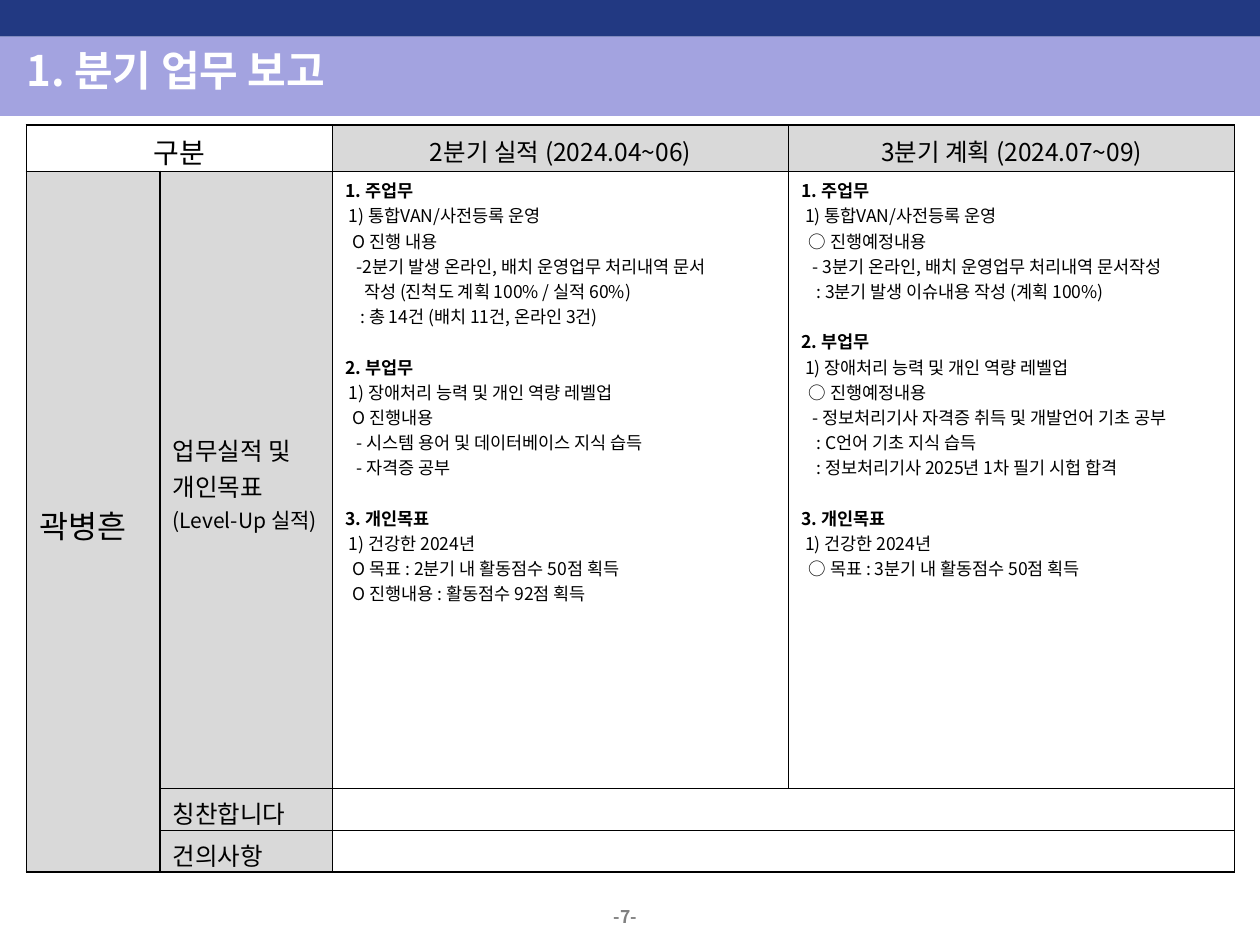
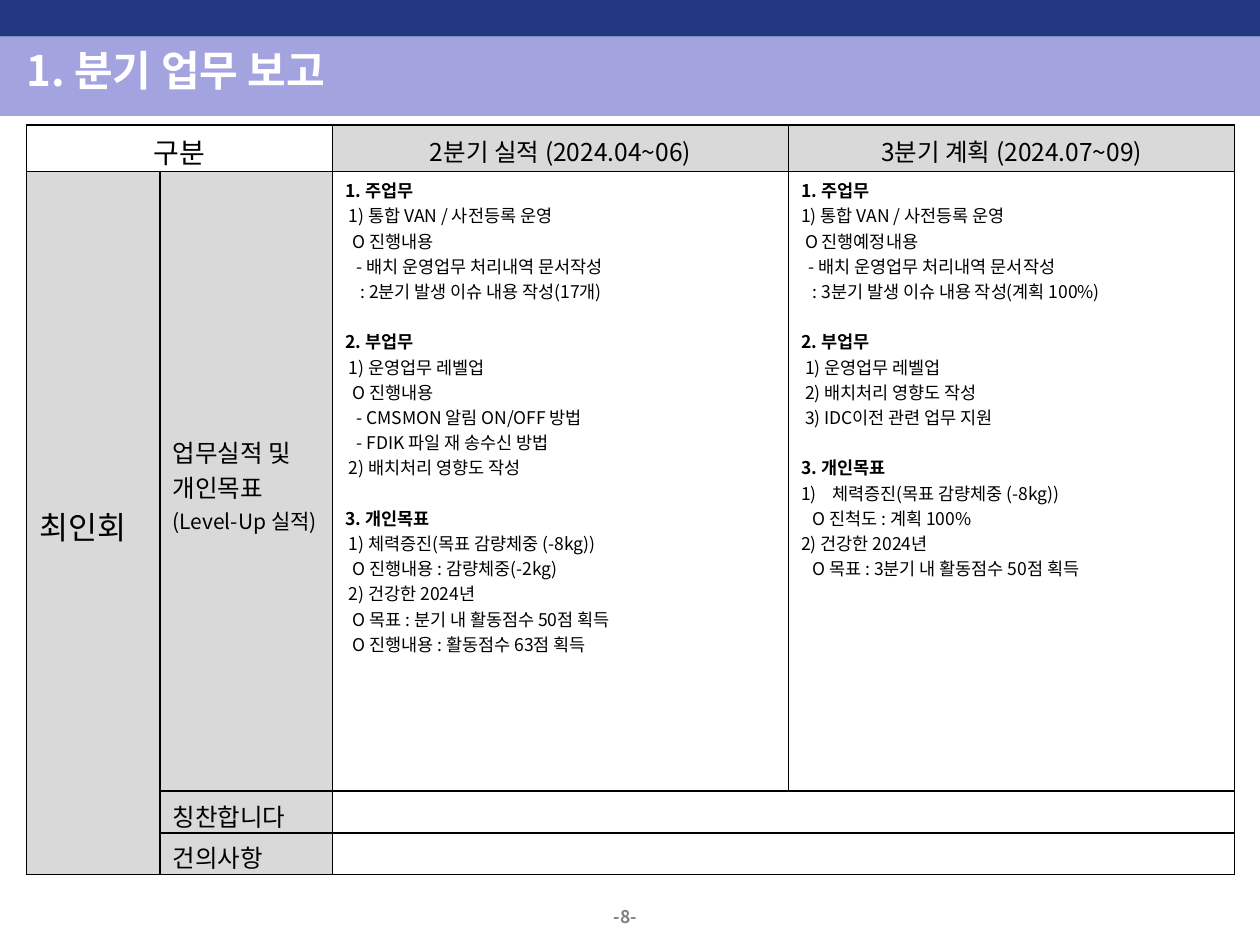
from dataclasses import dataclass
from itertools import product

from pptx import Presentation
from pptx.dml.color import RGBColor
from pptx.enum.shapes import MSO_SHAPE
from pptx.enum.text import MSO_ANCHOR, MSO_AUTO_SIZE, PP_ALIGN
from pptx.oxml.ns import qn
from pptx.util import Inches, Length, Pt
from lxml.etree import SubElement


@dataclass(frozen=True)
class Theme:
    font: str = "Noto Sans CJK KR"
    navy: str = "223982"
    lilac: str = "A3A3E0"
    white: str = "FFFFFF"
    black: str = "000000"
    pale: str = "D9D9D9"
    gray: str = "808080"
    title: int = 24
    name: int = 18
    corner: int = 16
    label: int = 14
    note: int = 12
    body: int = 10


@dataclass(frozen=True)
class Band:
    top: Length
    height: Length
    color: str


@dataclass(frozen=True)
class Line:
    depth: int
    text: str
    listed: bool = False


Part = tuple[Line, ...]


@dataclass(frozen=True)
class Report:
    page: int
    name: str
    tall: Length
    done: tuple[Part, ...]
    plan: tuple[Part, ...]


THEME = Theme()
WIDTH = Inches(10)
LEFT = Inches(0.21)
BANDS = (
    Band(Inches(0), Inches(0.29), THEME.navy),
    Band(Inches(0.29), Inches(0.63), THEME.lilac),
)
COLS = (Inches(1.06), Inches(1.37), Inches(3.62), Inches(3.54))
HEAD_ROW, LABEL_ROW = Inches(0.37), Inches(0.33)
STEP = Inches(0.03)
PART_GAP = Pt(14.4)
HEADS = ("주업무", "부업무", "개인목표")

REPORTS = (
    Report(
        7, "곽병흔", Inches(4.9),
        done=(
            (
                Line(1, "1) 통합VAN/사전등록 운영"),
                Line(2, "O 진행 내용"),
                Line(3, "-2분기 발생 온라인, 배치 운영업무 처리내역 문서"),
                Line(5, "작성 (진척도 계획 100% / 실적 60%)"),
                Line(4, ": 총 14건 (배치 11건, 온라인 3건)"),
            ),
            (
                Line(1, "1) 장애처리 능력 및 개인 역량 레벨업"),
                Line(2, "O 진행내용"),
                Line(3, "- 시스템 용어 및 데이터베이스 지식 습득"),
                Line(3, "- 자격증 공부"),
            ),
            (
                Line(1, "1) 건강한 2024년"),
                Line(2, "O 목표 : 2분기 내 활동점수 50점 획득"),
                Line(2, "O 진행내용 : 활동점수 92점 획득"),
            ),
        ),
        plan=(
            (
                Line(1, "1) 통합VAN/사전등록 운영"),
                Line(2, "○ 진행예정내용"),
                Line(3, "- 3분기 온라인, 배치 운영업무 처리내역 문서작성"),
                Line(4, ": 3분기 발생 이슈내용 작성 (계획 100%)"),
            ),
            (
                Line(1, "1) 장애처리 능력 및 개인 역량 레벨업"),
                Line(2, "○ 진행예정내용"),
                Line(3, "- 정보처리기사 자격증 취득 및 개발언어 기초 공부"),
                Line(4, ": C언어 기초 지식 습득"),
                Line(4, ": 정보처리기사 2025년 1차 필기 시헙 합격"),
            ),
            (
                Line(1, "1) 건강한 2024년"),
                Line(2, "○ 목표 : 3분기 내 활동점수 50점 획득"),
            ),
        ),
    ),
    Report(
        8, "최인회", Inches(4.92),
        done=(
            (
                Line(1, "1) 통합 VAN / 사전등록 운영"),
                Line(2, "O 진행내용"),
                Line(3, "- 배치 운영업무 처리내역 문서작성"),
                Line(4, ": 2분기 발생 이슈 내용 작성(17개)"),
            ),
            (
                Line(1, "1) 운영업무 레벨업"),
                Line(2, "O 진행내용"),
                Line(3, "- CMSMON 알림 ON/OFF 방법"),
                Line(3, "- FDIK 파일 재 송수신 방법"),
                Line(1, "2) 배치처리 영향도 작성"),
            ),
            (
                Line(1, "1) 체력증진(목표 감량체중 (-8kg))"),
                Line(2, "O 진행내용 : 감량체중(-2kg)"),
                Line(1, "2) 건강한 2024년"),
                Line(2, "O 목표 : 분기 내 활동점수 50점 획득"),
                Line(2, "O 진행내용 : 활동점수 63점 획득"),
            ),
        ),
        plan=(
            (
                Line(0, "1) 통합 VAN / 사전등록 운영"),
                Line(1, "O 진행예정내용"),
                Line(2, "- 배치 운영업무 처리내역 문서작성"),
                Line(3, ": 3분기 발생 이슈 내용 작성(계획 100%)"),
            ),
            (
                Line(1, "1) 운영업무 레벨업"),
                Line(1, "2) 배치처리 영향도 작성"),
                Line(1, "3) IDC이전 관련 업무 지원"),
            ),
            (
                Line(0, "체력증진(목표 감량체중 (-8kg))", listed=True),
                Line(3, "O 진척도 : 계획 100%"),
                Line(0, "2) 건강한 2024년"),
                Line(3, "O 목표 : 3분기 내 활동점수 50점 획득"),
            ),
        ),
    ),
)


def add_run(para, text: str, size: int, color: str = THEME.black, bold: bool = False) -> None:
    run = para.add_run()
    run.text = text
    font = run.font
    font.name, font.size, font.bold = THEME.font, Pt(size), bold
    font.color.rgb = RGBColor.from_string(color)
    SubElement(run._r.get_or_add_rPr(), qn("a:ea"), typeface=THEME.font)


def next_para(frame):
    """Return the empty first paragraph, or a new one after filled text."""
    first = frame.paragraphs[0]
    return frame.add_paragraph() if first.runs else first


def indent(para, line: Line) -> None:
    props = para._p.get_or_add_pPr()
    if line.listed:
        props.set("marL", str(Inches(0.25)))
        props.set("indent", str(Inches(-0.25)))
        SubElement(props, qn("a:buFont"), typeface=THEME.font)
        SubElement(props, qn("a:buAutoNum"), type="arabicParenR")
    else:
        props.set("marL", str(STEP * line.depth))


def write_parts(cell, parts: tuple[Part, ...]) -> None:
    cell.vertical_anchor = MSO_ANCHOR.TOP
    for rank, (head, lines) in enumerate(zip(HEADS, parts), 1):
        para = next_para(cell.text_frame)
        if rank > 1:
            para.space_before = PART_GAP
        add_run(para, f"{rank}. {head}", THEME.body, bold=True)
        for line in lines:
            para = cell.text_frame.add_paragraph()
            indent(para, line)
            add_run(para, line.text, THEME.body)


def write_cell(cell, *rows: tuple[str, int], align: PP_ALIGN = PP_ALIGN.LEFT) -> None:
    for text, size in rows:
        para = next_para(cell.text_frame)
        para.alignment = align
        add_run(para, text, size)


def style_cell(cell, color: str) -> None:
    cell.margin_bottom = 0
    cell.vertical_anchor = MSO_ANCHOR.MIDDLE
    props = cell._tc.get_or_add_tcPr()
    for side in ("lnL", "lnR", "lnT", "lnB"):
        edge = SubElement(props, qn(f"a:{side}"), w=str(Pt(1)))
        fill = SubElement(edge, qn("a:solidFill"))
        SubElement(fill, qn("a:srgbClr"), val=THEME.black)
    cell.fill.solid()
    cell.fill.fore_color.rgb = RGBColor.from_string(color)


def add_grid(slide, report: Report) -> None:
    heights = (HEAD_ROW, report.tall, LABEL_ROW, LABEL_ROW)
    frame = slide.shapes.add_table(
        len(heights), len(COLS), LEFT, Inches(0.99), sum(COLS), sum(heights))
    table = frame.table
    table.first_row = table.horz_banding = False
    for col, width in zip(table.columns, COLS):
        col.width = width
    for row, height in zip(table.rows, heights):
        row.height = height
    for row, col in product(range(len(heights)), range(len(COLS))):
        shaded = (row == 0) != (col < 2)
        style_cell(table.cell(row, col), THEME.pale if shaded else THEME.white)

    for start, end in (((0, 0), (0, 1)), ((1, 0), (3, 0)),
                       ((2, 2), (2, 3)), ((3, 2), (3, 3))):
        table.cell(*start).merge(table.cell(*end))

    heads = ((0, "구분", THEME.corner),
             (2, "2분기 실적 (2024.04~06)", THEME.label),
             (3, "3분기 계획 (2024.07~09)", THEME.label))
    for col, text, size in heads:
        write_cell(table.cell(0, col), (text, size), align=PP_ALIGN.CENTER)
    write_cell(table.cell(1, 0), (report.name, THEME.name))
    write_cell(table.cell(1, 1), ("업무실적 및", THEME.label),
               ("개인목표", THEME.label), ("(Level-Up 실적)", THEME.note))
    write_parts(table.cell(1, 2), report.done)
    write_parts(table.cell(1, 3), report.plan)
    for row, text in ((2, "칭찬합니다"), (3, "건의사항")):
        write_cell(table.cell(row, 1), (text, THEME.label))

    for cell in table.iter_cells():
        if not cell.text_frame.text:
            para = cell.text_frame.paragraphs[0]
            SubElement(para._p, qn("a:endParaRPr"), sz=str(THEME.body * 100))


def add_band(slide, band: Band) -> None:
    shape = slide.shapes.add_shape(MSO_SHAPE.RECTANGLE, 0, band.top, WIDTH, band.height)
    shape.shadow.inherit = False
    shape.fill.solid()
    shape.fill.fore_color.rgb = RGBColor.from_string(band.color)
    shape.line.fill.background()


def add_text(slide, left: Length, top: Length, width: Length, height: Length):
    frame = slide.shapes.add_textbox(left, top, width, height).text_frame
    frame.word_wrap = True
    frame.auto_size = MSO_AUTO_SIZE.SHAPE_TO_FIT_TEXT
    return frame


def add_frame(slide, page: int) -> None:
    """Draw the bands, page number and title that all slides share."""
    for band in BANDS:
        add_band(slide, band)
    foot = add_text(slide, Inches(4.53), Inches(7.14), Inches(0.87), Inches(0.27)).paragraphs[0]
    foot.alignment = PP_ALIGN.CENTER
    add_run(foot, f"-{page}-", THEME.body, THEME.gray, bold=True)
    title = add_text(slide, LEFT, Inches(0.35), Inches(7.53), Inches(0.4))
    title.margin_left = title.margin_right = title.margin_top = title.margin_bottom = 0
    title.vertical_anchor = MSO_ANCHOR.MIDDLE
    add_run(title.paragraphs[0], "1. 분기 업무 보고", THEME.title, THEME.white, bold=True)


def main() -> None:
    deck = Presentation()
    deck.slide_width, deck.slide_height = WIDTH, Inches(7.5)
    for report in REPORTS:
        slide = deck.slides.add_slide(deck.slide_layouts[6])
        add_frame(slide, report.page)
        add_grid(slide, report)
    deck.save("out.pptx")


if __name__ == "__main__":
    main()
